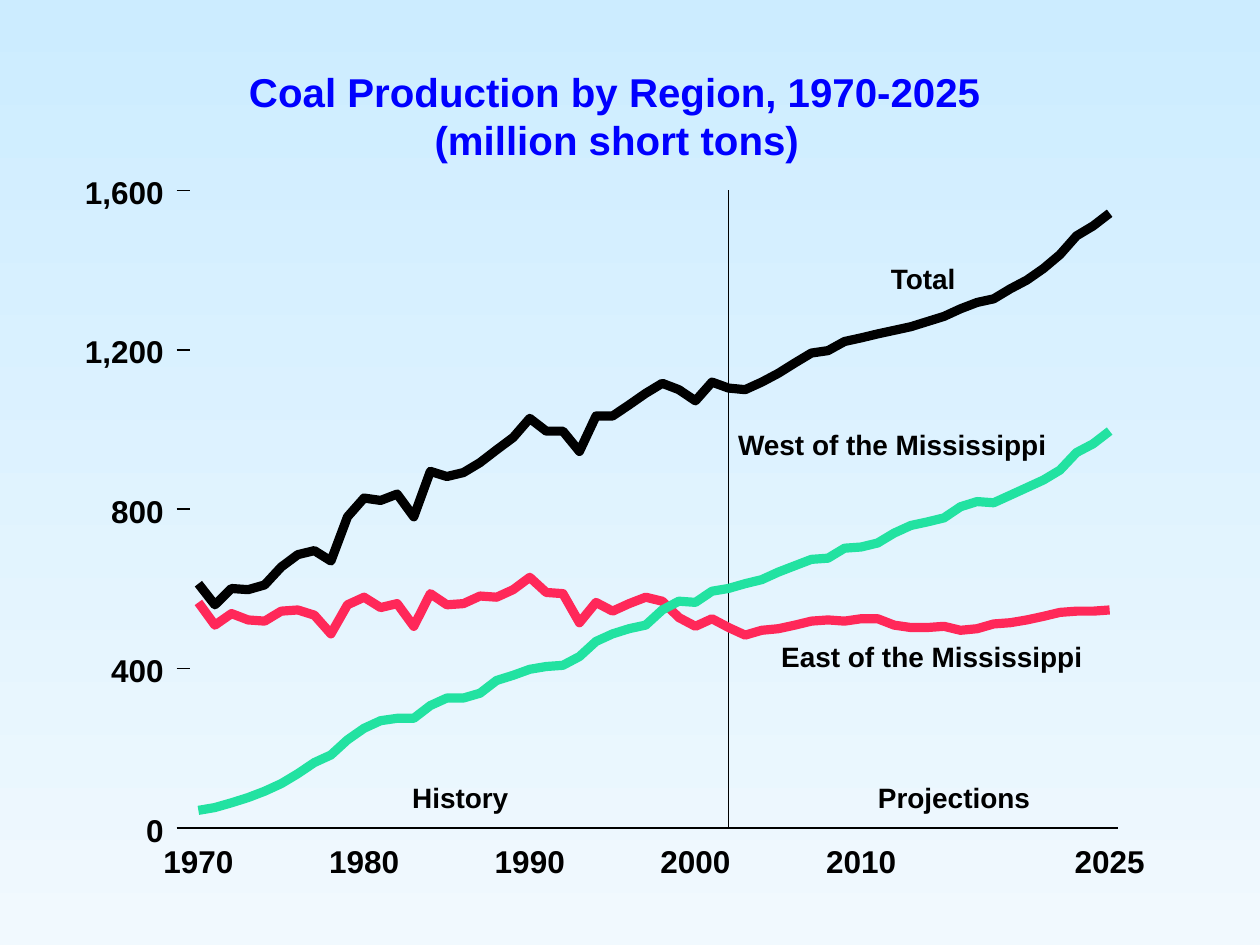
from lxml import etree
from pptx import Presentation
from pptx import util as u
from pptx.dml.color import RGBColor
from pptx.enum import shapes, text
from pptx.oxml.ns import qn

FIRST_YEAR, LAST_YEAR, SPLIT_YEAR = 1970, 2025, 2002
YEAR_LEFT, YEAR_STEP = 4, 0.334
AXIS_LEFT, AXIS_RIGHT = 3.84, 22.53
BASELINE, PLOT_HEIGHT, MAX_TONS = 16.69, 12.85, 1600
BLACK, BLUE = "000000", "0000FF"

TOTAL = [
    613, 560, 601, 598, 610, 655, 686, 696, 670, 781,
    828, 822, 838, 781, 895, 882, 892, 917, 949, 980,
    1028, 996, 996, 945, 1034, 1034, 1062, 1091, 1116, 1100,
    1072, 1119, 1104, 1100, 1119, 1141, 1167, 1192, 1198, 1221,
    1230, 1240, 1249, 1258, 1271, 1284, 1303, 1319, 1328, 1353,
    1375, 1404, 1439, 1486, 1511, 1543,
]
EAST = [
    566, 509, 538, 522, 519, 544, 547, 534, 487, 560,
    579, 553, 563, 506, 588, 560, 563, 582, 579, 598,
    629, 591, 588, 515, 566, 544, 563, 579, 569, 528,
    506, 525, 503, 484, 496, 500, 509, 519, 522, 519,
    525, 525, 509, 503, 503, 506, 496, 500, 512, 515,
    522, 531, 541, 544, 544, 547,
]
WEST = [
    44, 51, 63, 76, 92, 111, 136, 164, 183, 221,
    250, 269, 275, 275, 307, 326, 326, 338, 370, 383,
    398, 405, 408, 430, 468, 487, 500, 509, 547, 569,
    566, 594, 601, 613, 623, 642, 658, 674, 677, 702,
    705, 715, 740, 759, 768, 778, 806, 819, 816, 835,
    854, 873, 898, 942, 964, 996,
]


def color(value):
    return RGBColor.from_string(value)


def year_x(year):
    return YEAR_LEFT + (year - FIRST_YEAR) * YEAR_STEP


def tons_y(tons):
    return BASELINE - tons / MAX_TONS * PLOT_HEIGHT


def set_background(page):
    fill = page.background.fill
    fill.gradient()
    fill.gradient_angle = 270
    for stop, value in zip(fill.gradient_stops, ("CCECFF", "F1F9FE")):
        stop.color.rgb = color(value)


def add_label(page, words, left, top, width, size,
              align=text.PP_ALIGN.LEFT, ink=BLACK):
    box = page.shapes.add_textbox(
        u.Cm(left), u.Cm(top), u.Cm(width), u.Pt(size * 1.2))
    frame = box.text_frame
    frame.word_wrap = False
    frame.auto_size = text.MSO_AUTO_SIZE.SHAPE_TO_FIT_TEXT
    frame.margin_left = frame.margin_right = 0
    frame.margin_top = frame.margin_bottom = 0
    para = frame.paragraphs[0]
    para.text = words
    para.alignment = align
    para.font.name = "Arial"
    para.font.size = u.Pt(size)
    para.font.bold = True
    para.font.color.rgb = color(ink)


def add_rule(page, x1, y1, x2, y2):
    rule = page.shapes.add_connector(
        shapes.MSO_CONNECTOR.STRAIGHT,
        u.Cm(x1), u.Cm(y1), u.Cm(x2), u.Cm(y2))
    rule.line.color.rgb = color(BLACK)
    rule.line.width = u.Pt(0.88)
    etree.SubElement(rule._element.spPr, qn("a:effectLst"))


def add_series(page, values, ink):
    points = [(u.Cm(year_x(year)), u.Cm(tons_y(tons)))
              for year, tons in enumerate(values, FIRST_YEAR)]
    builder = page.shapes.build_freeform(*points[0])
    builder.add_line_segments(points[1:], close=False)
    curve = builder.convert_to_shape()
    curve.shadow.inherit = False
    curve.fill.background()
    curve.line.color.rgb = color(ink)
    curve.line.width = u.Pt(5.25)


def add_axes(page):
    for tons in range(0, MAX_TONS + 1, 400):
        y = tons_y(tons)
        words = f"{tons:,}"
        width = 0.37 * len(words) - (0.17 if "," in words else 0)
        add_rule(page, 3.56, y, AXIS_LEFT, y)
        add_label(page, words, 3.3 - width, y - 0.35, width, 18,
                  text.PP_ALIGN.RIGHT)
    add_rule(page, AXIS_LEFT, BASELINE, AXIS_RIGHT, BASELINE)
    for year in (1970, 1980, 1990, 2000, 2010, LAST_YEAR):
        add_label(page, str(year), year_x(year) - 0.73, 16.98, 1.46, 18,
                  text.PP_ALIGN.CENTER)


def main():
    deck = Presentation()
    deck.slide_width, deck.slide_height = u.Cm(25.4), u.Cm(19.05)
    page = deck.slides.add_slide(deck.slide_layouts[6])
    set_background(page)

    split = year_x(SPLIT_YEAR)
    add_rule(page, split, tons_y(MAX_TONS), split, BASELINE)
    for values, ink in ((TOTAL, BLACK), (EAST, "FF2859"), (WEST, "22E2A1")):
        add_series(page, values, ink)
    add_axes(page)

    for words, left, top, width in (
        ("Coal Production by Region, 1970-2025", 5.02, 1.35, 14.8),
        ("(million short tons)", 8.76, 2.32, 7.4),
    ):
        add_label(page, words, left, top, width, 23, ink=BLUE)
    for words, left, top, width in (
        ("History", 8.31, 15.74, 2),
        ("Projections", 17.7, 15.74, 3.1),
        ("Total", 17.96, 5.27, 1.4),
        ("East of the Mississippi", 15.75, 12.9, 6.1),
        ("West of the Mississippi", 14.88, 8.61, 6.25),
    ):
        add_label(page, words, left, top, width, 16)

    deck.save("out.pptx")


if __name__ == "__main__":
    main()
